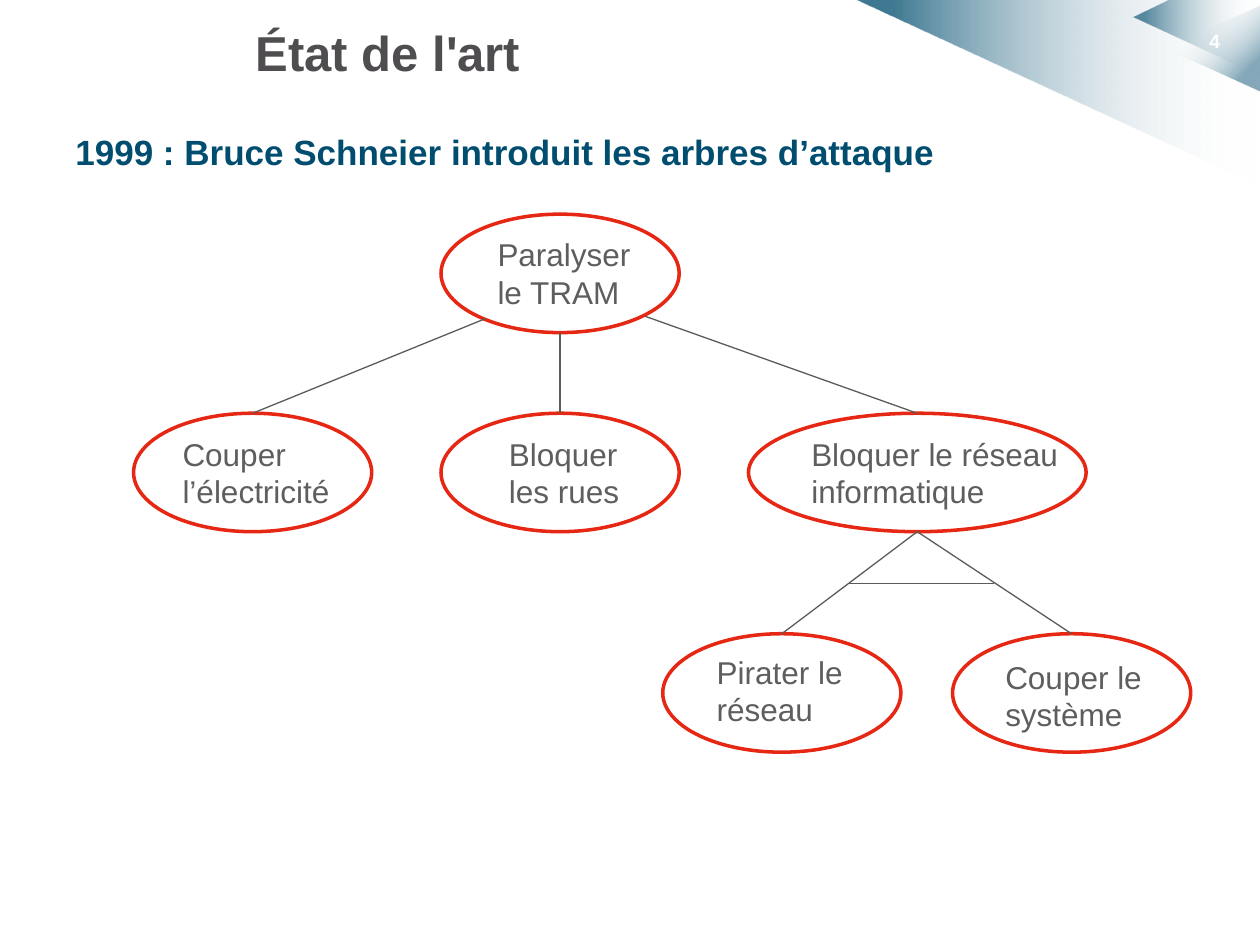
from dataclasses import dataclass

from lxml import etree
from pptx import Presentation
from pptx.dml.color import RGBColor
from pptx.enum.shapes import MSO_CONNECTOR, MSO_SHAPE
from pptx.enum.text import MSO_ANCHOR, PP_ALIGN
from pptx.oxml.ns import qn
from pptx.util import Inches, Pt

ELLIPSE = MSO_SHAPE.OVAL
TRIANGLE = MSO_SHAPE.ISOSCELES_TRIANGLE
STRAIGHT = MSO_CONNECTOR.STRAIGHT
LEFT = PP_ALIGN.LEFT
TOP = MSO_ANCHOR.TOP
MIDDLE = MSO_ANCHOR.MIDDLE
TOP_SITE = 0

FONT = "Arial"
COLORS = {
    "white": "FFFFFF",
    "blue": "004D6F",
    "red": "E52713",
    "label": "5F5E5E",
    "branch": "5C5B5B",
    "title": "4F4D50",
}
NODE_WIDTH, NODE_HEIGHT = 1.89, 0.94
LABEL_HEIGHT = 0.7


@dataclass
class Node:
    text: str
    left: float
    top: float
    label_left: float
    label_top: float
    label_width: float
    width: float = NODE_WIDTH

    @property
    def center(self) -> float:
        return self.left + self.width / 2

    @property
    def bottom(self) -> tuple[float, float]:
        return self.center, self.top + NODE_HEIGHT


@dataclass
class Branch:
    start: tuple[float, float]
    child: str


@dataclass
class Stop:
    position: int
    color: str
    opacity: int


NODES = {
    "goal": Node("Paralyser le TRAM", 3.5, 1.7, 3.85, 1.82, 1.42),
    "power": Node("Couper l’électricité", 1.06, 3.28, 1.35, 3.4, 1.42),
    "streets": Node("Bloquer les rues", 3.5, 3.28, 3.94, 3.4, 1.23),
    "network": Node("Bloquer le réseau informatique", 5.94, 3.28, 6.34, 3.4, 2.28, 2.68),
    "hack": Node("Pirater le réseau", 5.26, 5.03, 5.59, 5.13, 1.5),
    "system": Node("Couper le système", 7.56, 5.03, 7.88, 5.17, 1.42),
}
BRANCHES = [
    Branch((3.85, 2.53), "power"),
    Branch(NODES["goal"].bottom, "streets"),
    Branch((5.12, 2.51), "network"),
    Branch(NODES["network"].bottom, "hack"),
    Branch(NODES["network"].bottom, "system"),
]
AND_BAR = ((6.74, 4.63), (7.89, 4.63))


def rgb(name: str) -> RGBColor:
    return RGBColor.from_string(COLORS[name])


def write_text(shape, text: str, *, size: float, color: str, bold: bool = False,
               anchor=TOP) -> None:
    frame = shape.text_frame
    frame.word_wrap = True
    frame.vertical_anchor = anchor
    paragraph = frame.paragraphs[0]
    paragraph.alignment = LEFT
    run = paragraph.add_run()
    run.text = text
    run.font.name = FONT
    run.font.size = Pt(size)
    run.font.bold = bold
    run.font.color.rgb = rgb(color)


def add_text(slide, box: tuple[float, ...], text: str, **text_format) -> None:
    shape = slide.shapes.add_textbox(*map(Inches, box))
    write_text(shape, text, **text_format)


def fill_gradient(shape, stops: list[Stop], angle: int) -> None:
    """Give the shape a linear gradient whose stops have an opacity."""
    shape.shadow.inherit = False
    shape.line.fill.background()
    shape.fill.gradient()
    gradient = shape.element.spPr.find(qn("a:gradFill"))
    for child in list(gradient):
        gradient.remove(child)
    gradient.set("rotWithShape", "1")
    stop_list = etree.SubElement(gradient, qn("a:gsLst"))
    for stop in stops:
        element = etree.SubElement(stop_list, qn("a:gs"), pos=str(stop.position * 1000))
        color = etree.SubElement(element, qn("a:srgbClr"), val=COLORS[stop.color])
        etree.SubElement(color, qn("a:alpha"), val=str(stop.opacity * 1000))
    etree.SubElement(gradient, qn("a:lin"), ang=str(angle * 60000), scaled="0")


def add_wedge(slide, points: list[tuple[float, float]], opacity: int) -> None:
    corners = [(Inches(x), Inches(y)) for x, y in points]
    builder = slide.shapes.build_freeform(*corners[0])
    builder.add_line_segments(corners[1:], close=True)
    stops = [Stop(9, "blue", opacity), Stop(99, "white", 0)]
    fill_gradient(builder.convert_to_shape(), stops, 0)


def add_corner(slide) -> None:
    add_wedge(slide, [(6.79, 0), (10, 0), (9.99, 1.47)], 75)
    add_wedge(slide, [(9, 0.14), (9.29, 0), (10, 0), (10, 0.6)], 63)
    triangle = slide.shapes.add_shape(
        TRIANGLE, Inches(9.29), Inches(0.01), Inches(0.68), Inches(0.75))
    triangle.rotation = 270
    fill_gradient(triangle, [Stop(27, "white", 0), Stop(81, "blue", 48)], 135)


def add_node(slide, node: Node):
    ellipse = slide.shapes.add_shape(
        ELLIPSE, Inches(node.left), Inches(node.top), Inches(node.width), Inches(NODE_HEIGHT))
    ellipse.shadow.inherit = False
    ellipse.fill.solid()
    ellipse.fill.fore_color.rgb = rgb("white")
    ellipse.line.color.rgb = rgb("red")
    ellipse.line.width = Pt(2)
    add_text(slide, (node.label_left, node.label_top, node.label_width, LABEL_HEIGHT),
             node.text, size=18, color="label")
    return ellipse


def add_line(slide, start: tuple[float, float], end: tuple[float, float]):
    line = slide.shapes.add_connector(STRAIGHT, *map(Inches, start + end))
    line.line.color.rgb = rgb("branch")
    line.line.width = Pt(0.75)
    etree.SubElement(line.element.spPr, qn("a:effectLst"))
    return line


def main() -> None:
    presentation = Presentation()
    presentation.slide_width = Inches(10)
    presentation.slide_height = Inches(7.5)
    slide = presentation.slides.add_slide(presentation.slide_layouts[5])

    # Corner decoration and page number
    add_corner(slide)
    add_text(slide, (9.5, 0.18, 0.5, 0.4), "4", size=11, color="white", bold=True)

    # Title and subtitle
    title = slide.shapes.title
    title.left, title.top, title.width, title.height = map(Inches, (1.93, 0.1, 7.07, 0.62))
    write_text(title, "État de l'art", size=28, color="title", bold=True, anchor=MIDDLE)
    add_text(slide, (0.5, 0.99, 9, 6.06), "1999 : Bruce Schneier introduit les arbres d’attaque",
             size=20, color="blue", bold=True)

    # Attack tree
    ellipses = {name: add_node(slide, node) for name, node in NODES.items()}
    for branch in BRANCHES:
        child = NODES[branch.child]
        line = add_line(slide, branch.start, (child.center, child.top))
        line.end_connect(ellipses[branch.child], TOP_SITE)

    # Bar that marks both steps as required
    add_line(slide, *AND_BAR)

    presentation.save("out.pptx")


if __name__ == "__main__":
    main()
